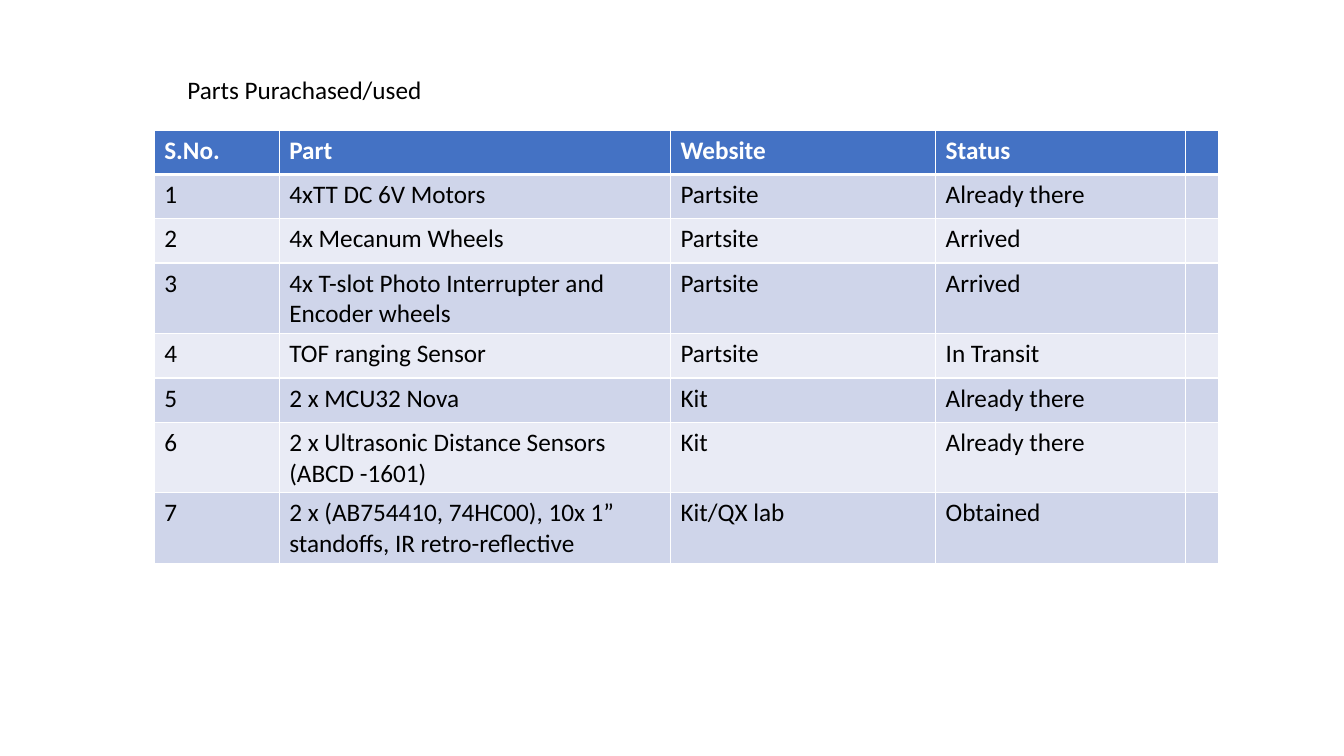
from lxml.etree import SubElement
from pptx import Presentation
from pptx.dml.color import RGBColor
from pptx.oxml.ns import qn
from pptx.util import Inches, Pt

FONT = "Calibri"
BLACK, WHITE = "000000", "FFFFFF"
HEADER_FILL = "4472C4"
BAND_FILLS = ("CFD5EA", "E9EBF5")
COLUMN_WIDTHS = (1.24, 3.88, 2.63, 2.48, 0.33)
ROW_HEIGHT = 0.44
PARTS = (
    ("S.No.", "Part", "Website", "Status", ""),
    ("1", "4xTT DC 6V Motors", "Partsite", "Already there", ""),
    ("2", "4x Mecanum Wheels", "Partsite", "Arrived", ""),
    ("3", "4x T-slot Photo Interrupter and Encoder wheels", "Partsite", "Arrived", ""),
    ("4", "TOF ranging Sensor", "Partsite", "In Transit", ""),
    ("5", "2 x MCU32 Nova", "Kit", "Already there", ""),
    ("6", "2 x Ultrasonic Distance Sensors (ABCD -1601)", "Kit", "Already there", ""),
    ("7", "2 x (AB754410, 74HC00), 10x 1” standoffs, IR retro-reflective",
     "Kit/QX lab", "Obtained", ""),
)


def color(hex_value):
    return RGBColor.from_string(hex_value)


def write(text_frame, text, text_color, bold=False):
    text_frame.text = text
    for run in text_frame.paragraphs[0].runs:
        run.font.name = FONT
        run.font.size = Pt(18)
        run.font.bold = bold
        run.font.color.rgb = color(text_color)


def set_borders(cell, top, bottom):
    """Draw white borders, 1 pt at the sides and the given points above and below."""
    properties = cell._tc.get_or_add_tcPr()
    for side, points in (("L", 1), ("R", 1), ("T", top), ("B", bottom)):
        line = SubElement(properties, qn(f"a:ln{side}"), w=str(Pt(points)))
        fill = SubElement(line, qn("a:solidFill"))
        SubElement(fill, qn("a:srgbClr"), val=WHITE)


def style_cell(cell, row_index, text):
    is_header = row_index == 0
    set_borders(cell, top=3 if row_index == 1 else 1, bottom=3 if is_header else 1)
    cell.fill.solid()
    cell.fill.fore_color.rgb = color(
        HEADER_FILL if is_header else BAND_FILLS[(row_index - 1) % 2])
    write(cell.text_frame, text, WHITE if is_header else BLACK, bold=is_header)


def add_heading(slide, text):
    heading = slide.shapes.add_textbox(
        Inches(1.76), Inches(0.69), Inches(9.81), Inches(0.4))
    heading.text_frame.word_wrap = True
    write(heading.text_frame, text, BLACK)


def add_parts_table(slide):
    parts_table = slide.shapes.add_table(
        len(PARTS), len(COLUMN_WIDTHS), Inches(1.53), Inches(1.29),
        Inches(sum(COLUMN_WIDTHS)), Inches(ROW_HEIGHT * len(PARTS))).table
    for column, width in zip(parts_table.columns, COLUMN_WIDTHS):
        column.width = Inches(width)
    for row_index, part in enumerate(PARTS):
        parts_table.rows[row_index].height = Inches(ROW_HEIGHT)
        for column_index, text in enumerate(part):
            style_cell(parts_table.cell(row_index, column_index), row_index, text)


def main():
    presentation = Presentation()
    presentation.slide_width = Inches(13.33)
    presentation.slide_height = Inches(7.5)
    slide = presentation.slides.add_slide(presentation.slide_layouts[6])
    add_heading(slide, "Parts Purachased/used")
    add_parts_table(slide)
    presentation.save("out.pptx")


if __name__ == "__main__":
    main()
